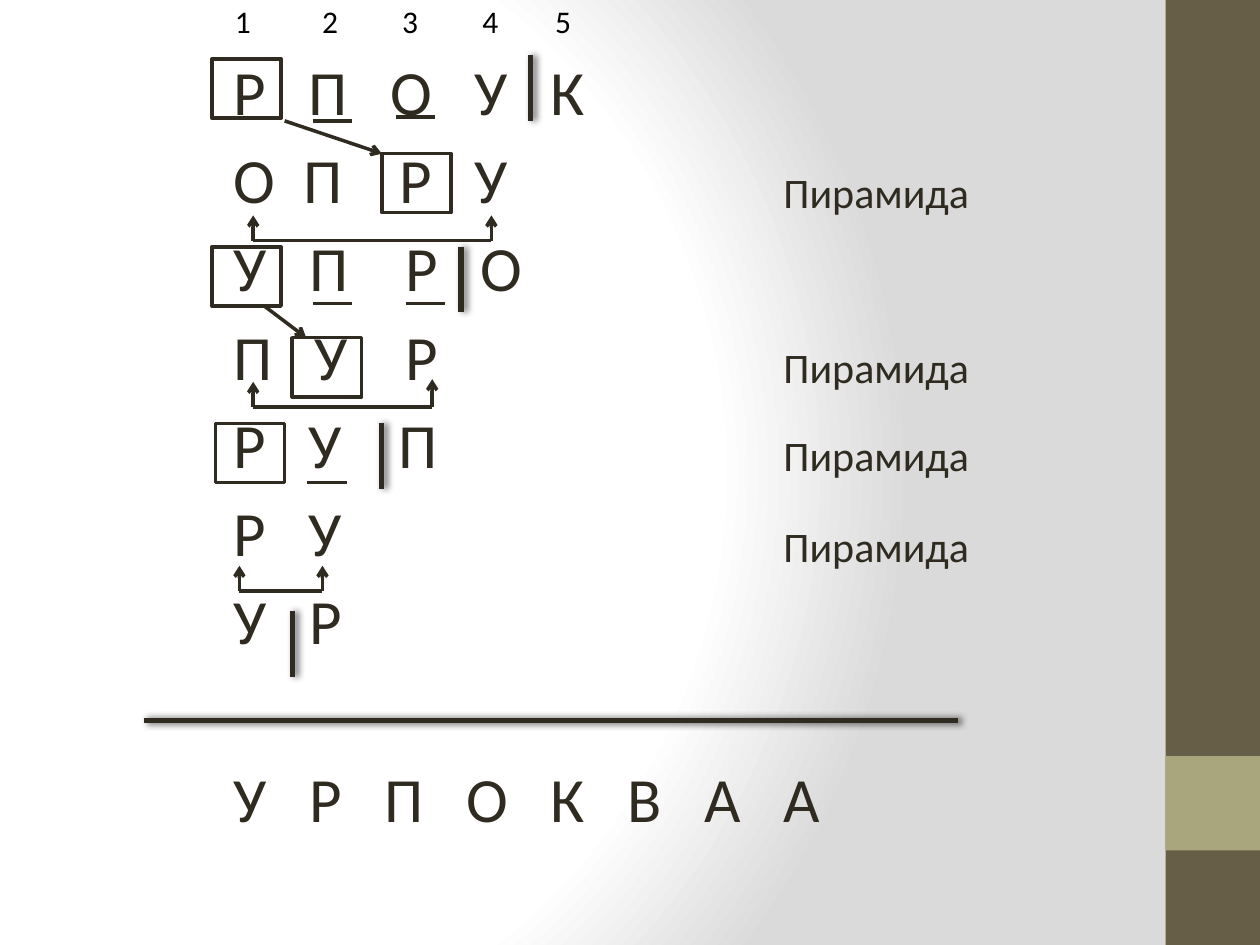
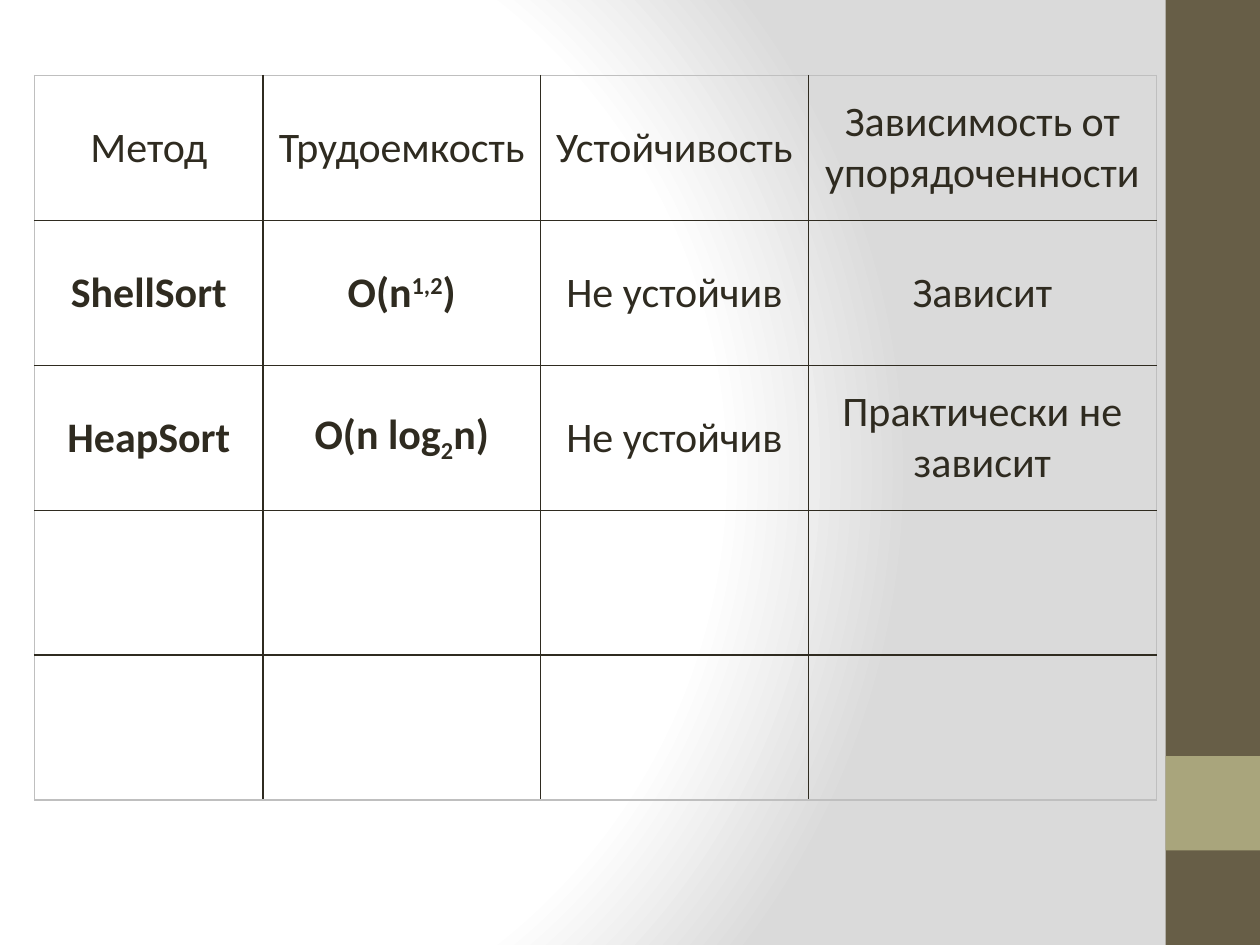
from lxml import etree
from pptx import Presentation
from pptx.dml.color import RGBColor
from pptx.enum import shapes, text
from pptx.oxml import parse_xml
from pptx.oxml.ns import nsdecls, qn
from pptx.util import Pt

DARK, BAND, ACCENT, EDGE = "2F2B20", "675E47", "A9A57C", "BFBFBF"
FONT = "Calibri"
SPACE_EM = 0.226  # width of a space in this font


def style(font, size, hex_color=DARK, bold=False):
    font.name, font.size, font.bold = FONT, Pt(size), bold
    font.color.rgb = RGBColor.from_string(hex_color)


def add_line(s, x1, y1, x2, y2, width=2, arrow=False, shadow=False):
    c = s.shapes.add_connector(shapes.MSO_CONNECTOR.STRAIGHT,
                               Pt(x1), Pt(y1), Pt(x2), Pt(y2))
    c.line.width = Pt(width)
    c.line.color.rgb = RGBColor.from_string(DARK)
    spPr = c._element.spPr
    if arrow:
        etree.SubElement(spPr.find(qn("a:ln")), qn("a:tailEnd"), type="arrow")
    effects = etree.SubElement(spPr, qn("a:effectLst"))
    if shadow:
        effects.append(parse_xml(
            f'<a:outerShdw {nsdecls("a")} blurRad="{Pt(4)}" dist="{Pt(2)}" dir="0">'
            '<a:srgbClr val="000000"><a:alpha val="60000"/></a:srgbClr></a:outerShdw>'))


prs = Presentation()
prs.slide_width, prs.slide_height = Pt(720), Pt(540)
master = prs.slide_master
s = prs.slides.add_slide(prs.slide_layouts[1])

# Shared background gradient
master.background.fill.solid()
bgPr = master.element.cSld.find(qn("p:bg")).find(qn("p:bgPr"))
stops = "".join(f'<a:gs pos="{pos}"><a:srgbClr val="{val}"/></a:gs>'
                for pos, val in [(0, "FFFFFF"), (75000, "FFFFFF"), (100000, "DADADA")])
bgPr.replace(bgPr[0], parse_xml(
    f'<a:gradFill {nsdecls("a")} rotWithShape="1"><a:gsLst>{stops}</a:gsLst>'
    '<a:path path="circle"><a:fillToRect l="20000" t="50000" r="100000" b="50000"/>'
    '</a:path></a:gradFill>'))

# Shared side band, moved to the master
for i, (top, height, color) in enumerate([(0, 540, BAND), (432, 54, ACCENT)]):
    sp = s.shapes.add_shape(shapes.MSO_SHAPE.RECTANGLE, Pt(666), Pt(top), Pt(54), Pt(height))
    sp.shadow.inherit = False
    sp.fill.solid()
    sp.fill.fore_color.rgb = RGBColor.from_string(color)
    sp.line.fill.background()
    master.shapes.element.insert(2 + i, sp._element)

# Slide 1: heap sort steps
title = s.shapes.title._element
title.getparent().remove(title)

index_box = s.shapes.add_textbox(Pt(123.1), Pt(-2.2), Pt(360), Pt(29))
body = s.placeholders[1]
body.left, body.top, body.width, body.height = Pt(36), Pt(26.4), Pt(600), Pt(478)

# Letters of each row with the gaps between them, in space widths
steps = [
    ("РПОУК", [3, 3, 3, 3]),
    ("ОПРУ", [2, 4, 3]),
    ("УПРО", [3, 4, 3]),
    ("ПУР", [3, 4]),
    ("РУП", [3, 4]),
    ("РУ", [3]),
    ("УР", [3]),
    ("УРПОКВАА", [3] * 7),
]
index_row = ("12345", [10, 9, 9, 8])
rows = [(body, 36, DARK, 90, step) for step in steps]
rows.append((index_box, 18, "000000", 4.07, index_row))
for box, size, color, margin, (letters, gaps) in rows:
    tf = box.text_frame
    tf.word_wrap = True
    p = tf.paragraphs[0]
    if p.runs:
        p = tf.add_paragraph()
        p.space_before = Pt(58.3 if letters == steps[-1][0] else 7.2)
    else:
        p.space_before = Pt(0)
    pPr = p._p.get_or_add_pPr()
    pPr.set("marL", str(Pt(margin)))
    pPr.set("indent", "0")
    etree.SubElement(pPr, qn("a:buNone"))
    for letter, gap in zip(letters, [0] + gaps):
        if gap:
            r = p.add_run()
            r.text = " "
            style(r.font, size, color)
            r.font._element.set("spc", str(round((gap - 1) * SPACE_EM * size * 100)))
        r = p.add_run()
        r.text = letter
        style(r.font, size, color)

# Dividers before the sorted part
for x, y in [(303.1, 31.7), (218.2, 241.9), (263.5, 141.1), (167, 349.2)]:
    add_line(s, x, y, x, y + 37.4, width=3, shadow=True)
add_line(s, 82.1, 411.8, 547.2, 411.8, width=3, shadow=True)

# Swap brackets: left, right, base, arrow tips
for left, right, base, left_tip, right_tip in [(144.7, 280.8, 137.5, 123.1, 123.1),
                                               (144.7, 247, 232.6, 218.2, 216.7),
                                               (136.8, 184.3, 337.7, 323.3, 323.3)]:
    add_line(s, left, base, right, base)
    add_line(s, left, base, left, left_tip, arrow=True)
    add_line(s, right, base, right, right_tip, arrow=True)

# Frames around the sifted element
for x, y in [(121, 33.8), (218.2, 87.8), (167, 193), (121, 141.1), (123.1, 241.9)]:
    sp = s.shapes.add_shape(shapes.MSO_SHAPE.RECTANGLE, Pt(x), Pt(y), Pt(39.6), Pt(33.8))
    sp.shadow.inherit = False
    sp.fill.background()
    sp.line.color.rgb = RGBColor.from_string(DARK)
    sp.line.width = Pt(2)

# Sift arrows and underlines of compared elements
for ends in [(151.2, 175, 175, 193), (162.7, 69.1, 218.2, 87.8)]:
    add_line(s, *ends, arrow=True)
for x, y in [(178.6, 69.1), (226.1, 67), (178.6, 173.5), (231.8, 173.5), (175.7, 275.8)]:
    add_line(s, x, y, x + 22.7, y)

# Labels of the rows that form a heap
for y in [91.4, 191.5, 241.9, 293.8]:
    tf = s.shapes.add_textbox(Pt(440.6), Pt(y), Pt(121.7), Pt(36)).text_frame
    tf.word_wrap = False
    r = tf.paragraphs[0].add_run()
    r.text = "Пирамида"
    style(r.font, 24)

# Slide 2: comparison of methods; a cell is a list of (text, baseline) runs
s = prs.slides.add_slide(prs.slide_layouts[6])
cells = [
    [[("Метод", 0)], [("Трудоемкость", 0)], [("Устойчивость", 0)],
     [("Зависимость от упорядоченности", 0)]],
    [[("ShellSort", 0)], [("O(n", 0), ("1,2", 30000), (")", 0)],
     [("Не устойчив", 0)], [("Зависит", 0)]],
    [[("HeapSort", 0)], [("O(n log", 0), ("2", -25000), ("n)", 0)],
     [("Не устойчив", 0)], [("Практически не зависит", 0)]],
    [[], [], [], []],
    [[], [], [], []],
]
widths = [130.5, 158.5, 153.2, 198.8]
n_rows, n_cols = len(cells), len(widths)
table = s.shapes.add_table(n_rows, n_cols, Pt(19.8), Pt(43.2), Pt(641), Pt(414)).table
table.first_row = table.horz_banding = False
for col, width in zip(table.columns, widths):
    col.width = Pt(width)
for i, row in enumerate(cells):
    table.rows[i].height = Pt(82.8)
    for j, runs in enumerate(row):
        cell = table.cell(i, j)
        cell.fill.background()
        cell.vertical_anchor = text.MSO_ANCHOR.MIDDLE
        p = cell.text_frame.paragraphs[0]
        p.alignment = text.PP_ALIGN.CENTER
        for words, baseline in runs:
            r = p.add_run()
            r.text = words
            style(r.font, 24, bold=i > 0 and j < 2)
            if baseline:
                r.font._element.set("baseline", str(baseline))
        outer = {"L": j == 0, "R": j == n_cols - 1, "T": i == 0, "B": i == n_rows - 1}
        for k, (side, on_edge) in enumerate(outer.items()):
            cell._tc.get_or_add_tcPr().insert(k, parse_xml(
                f'<a:ln{side} {nsdecls("a")} w="{Pt(1)}"><a:solidFill>'
                f'<a:srgbClr val="{EDGE if on_edge else DARK}"/></a:solidFill></a:ln{side}>'))

prs.save("out.pptx")
